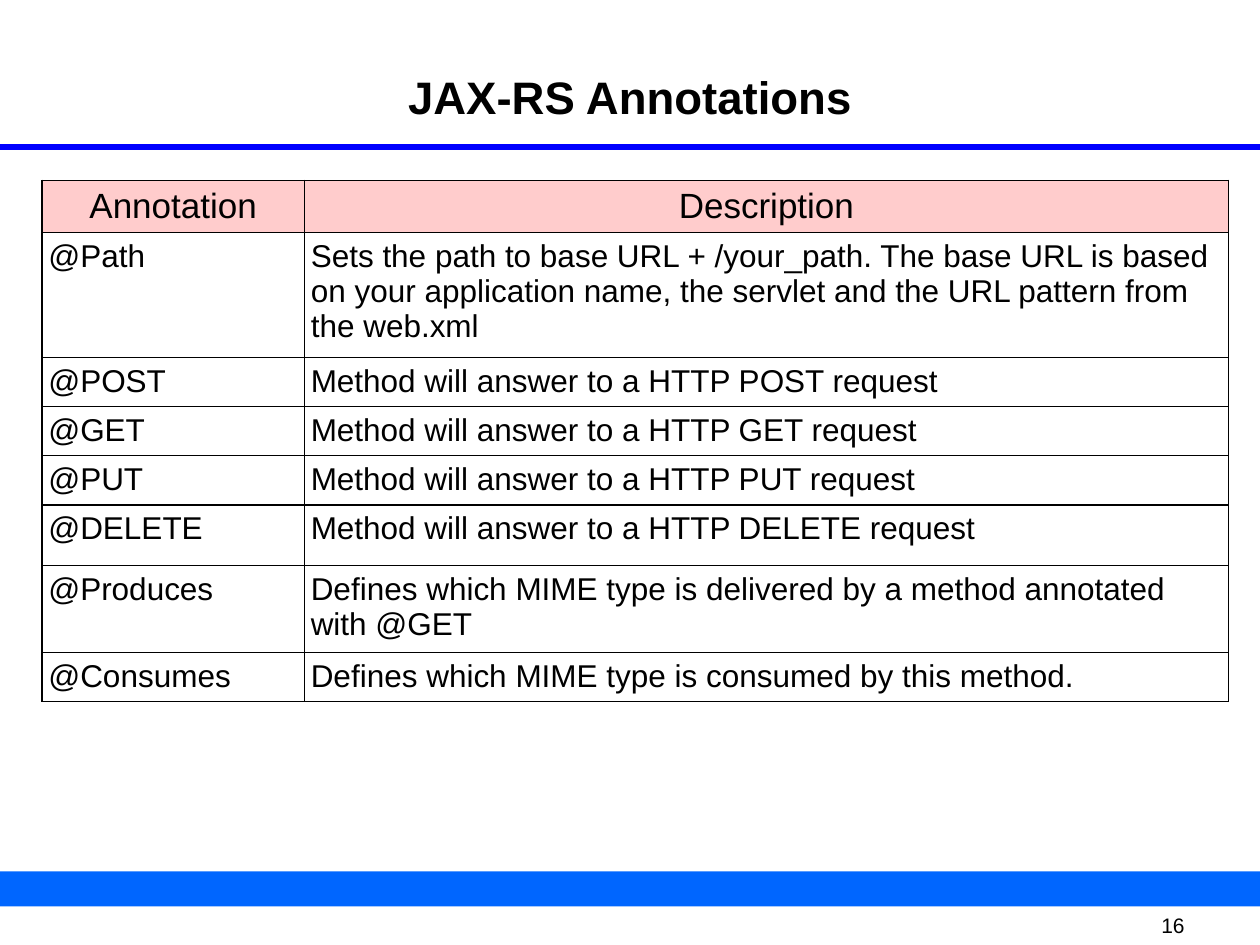
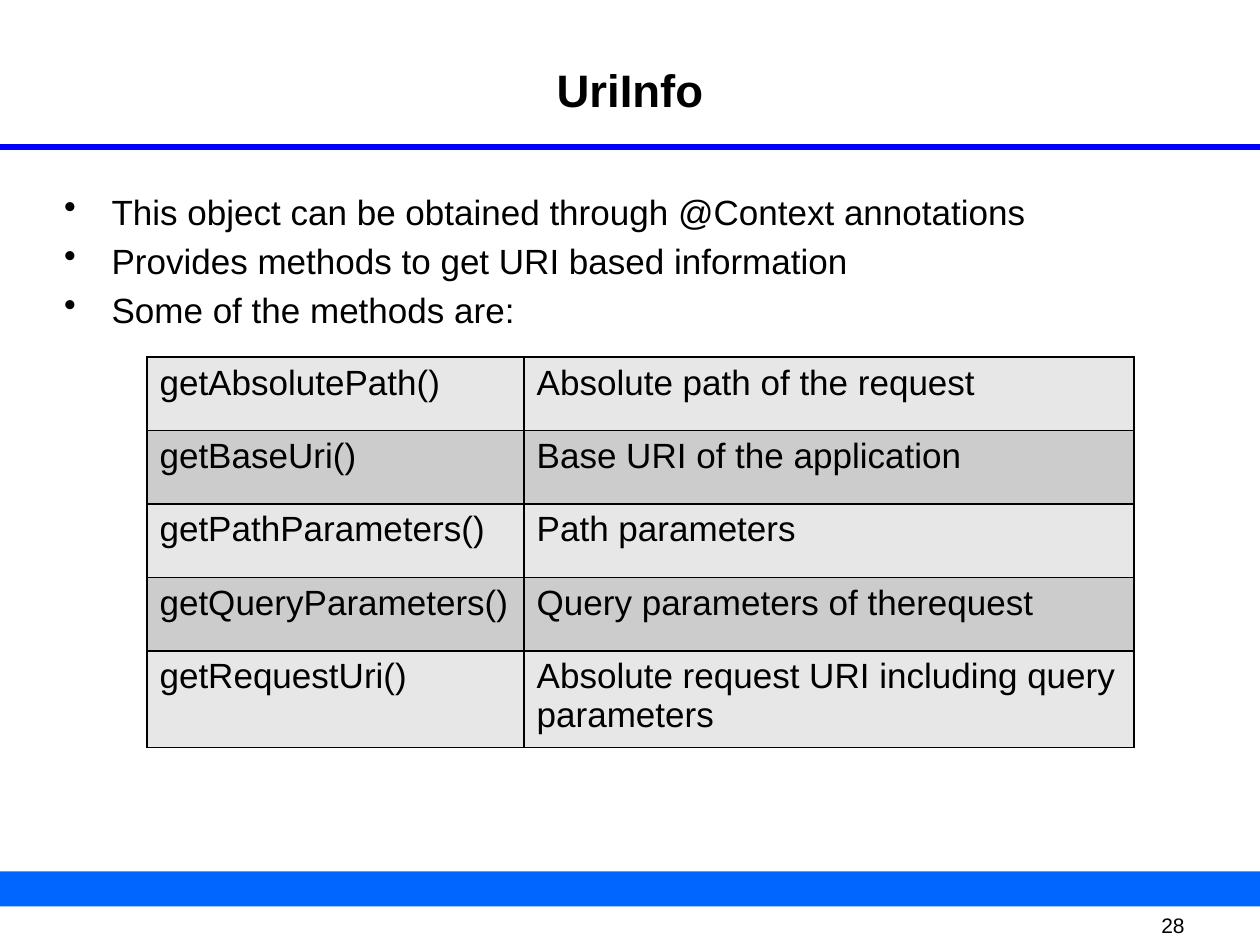
from dataclasses import dataclass

from lxml import etree
from pptx import Presentation
from pptx.dml.color import RGBColor
from pptx.enum.shapes import MSO_CONNECTOR, MSO_SHAPE
from pptx.enum.text import MSO_ANCHOR, PP_ALIGN
from pptx.oxml.ns import qn
from pptx.util import Pt

LEFT, CENTER = PP_ALIGN.LEFT, PP_ALIGN.CENTER
TOP, MIDDLE = MSO_ANCHOR.TOP, MSO_ANCHOR.MIDDLE
RECTANGLE, STRAIGHT = MSO_SHAPE.RECTANGLE, MSO_CONNECTOR.STRAIGHT
BLANK_LAYOUT = 6
SIDES = ("left", "top", "right", "bottom")


@dataclass(frozen=True)
class Theme:
    font: str = "Arial"
    ink: str = "000000"
    paper: str = "FFFFFF"
    rule: str = "0000FF"
    band: str = "0066FF"
    header: str = "FFCCCC"
    light_row: str = "E7E7E7"
    dark_row: str = "CCCCCC"
    title_size: float = 26
    body_size: float = 20
    cell_size: float = 18
    number_size: float = 12
    width: float = 720
    height: float = 540


def add_xml(parent, tag, **attributes):
    return etree.SubElement(parent, qn(tag), attributes)


def set_insets(target, insets):
    for side, inset in zip(SIDES, insets):
        setattr(target, f"margin_{side}", Pt(inset))


class Deck:
    def __init__(self, theme):
        self.theme = theme
        self.presentation = Presentation()
        self.presentation.slide_width = Pt(theme.width)
        self.presentation.slide_height = Pt(theme.height)
        self.slide = None

    def add_slide(self, title, title_top, number):
        """Start a slide with the shared band, rule, number and title."""
        theme = self.theme
        layout = self.presentation.slide_layouts[BLANK_LAYOUT]
        self.slide = self.presentation.slides.add_slide(layout)
        self.add_text((656.5, 522, 51, 13.7), [number], theme.number_size,
                      insets=(7.2, 0, 0, 0), anchor=MIDDLE)
        self.add_band(498, 20)
        self.add_rule(84)
        self.add_text((48, title_top, 624, 69), [title], theme.title_size,
                      bold=True, align=CENTER, spaced=True)

    def add_band(self, top, height):
        band = self.slide.shapes.add_shape(
            RECTANGLE, 0, Pt(top), Pt(self.theme.width), Pt(height))
        band.shadow.inherit = False
        band.fill.solid()
        band.fill.fore_color.rgb = RGBColor.from_string(self.theme.band)
        band.line.fill.background()

    def add_rule(self, top):
        rule = self.slide.shapes.add_connector(
            STRAIGHT, 0, Pt(top), Pt(self.theme.width), Pt(top))
        rule.line.color.rgb = RGBColor.from_string(self.theme.rule)
        rule.line.width = Pt(3)
        add_xml(rule._element.spPr, "a:effectLst")

    def fill_paragraph(self, paragraph, text, size, bold=False, align=LEFT,
                       spaced=False, bullet=False):
        run = paragraph.add_run()
        run.text = text
        paragraph.alignment = align
        font_format = {"name": self.theme.font, "size": Pt(size), "bold": bold}
        for name, value in font_format.items():
            setattr(run.font, name, value)
        run.font.color.rgb = RGBColor.from_string(self.theme.ink)
        properties = paragraph._p.get_or_add_pPr()
        if spaced:
            spacing = add_xml(properties, "a:spcBef")
            add_xml(spacing, "a:spcPct", val="20000")
        if bullet:
            properties.set("marL", str(Pt(27)))
            properties.set("indent", str(-Pt(27)))
            color = add_xml(properties, "a:buClr")
            add_xml(color, "a:srgbClr", val=self.theme.ink)
            add_xml(properties, "a:buChar", char="•")

    def add_text(self, box, lines, size, insets=(0.75,) * 4, anchor=TOP,
                 **style):
        shape = self.slide.shapes.add_textbox(*map(Pt, box))
        frame = shape.text_frame
        frame.word_wrap = True
        frame.vertical_anchor = anchor
        set_insets(frame, insets)
        for index, line in enumerate(lines):
            paragraph = frame.add_paragraph() if index else frame.paragraphs[0]
            self.fill_paragraph(paragraph, line, size, **style)

    def add_table(self, left, top, widths, heights, rows, row_format):
        """Add a table; row_format(index) gives fill, insets, anchor and text style."""
        table = self.slide.shapes.add_table(
            len(rows), len(widths), Pt(left), Pt(top),
            Pt(sum(widths)), Pt(sum(heights))).table
        table.first_row = table.horz_banding = False
        for column, width in zip(table.columns, widths):
            column.width = Pt(width)
        for index, (row, height, texts) in enumerate(
                zip(table.rows, heights, rows)):
            row.height = Pt(height)
            fill, insets, anchor, style = row_format(index)
            for cell, text in zip(row.cells, texts):
                self.add_borders(cell)
                cell.fill.solid()
                cell.fill.fore_color.rgb = RGBColor.from_string(fill)
                cell.vertical_anchor = anchor
                set_insets(cell, insets)
                self.fill_paragraph(cell.text_frame.paragraphs[0], text,
                                    spaced=True, **style)

    def add_borders(self, cell):
        properties = cell._tc.get_or_add_tcPr()
        for tag in ("a:lnL", "a:lnR", "a:lnT", "a:lnB"):
            line = add_xml(properties, tag, w=str(Pt(1)))
            fill = add_xml(line, "a:solidFill")
            add_xml(fill, "a:srgbClr", val=self.theme.ink)


ANNOTATIONS = [
    ("Annotation", "Description"),
    ("@Path", "Sets the path to base URL + /your_path. The base URL is based "
              "on your application name, the servlet and the URL pattern from "
              "the web.xml"),
    *((f"@{verb}", f"Method will answer to a HTTP {verb} request")
      for verb in ("POST", "GET", "PUT", "DELETE")),
    ("@Produces", "Defines which MIME type is delivered by a method annotated "
                  "with @GET"),
    ("@Consumes", "Defines which MIME type is consumed by this method."),
]

URI_INFO_POINTS = [
    "This object can be obtained through @Context annotations",
    "Provides methods to get URI based information",
    "Some of the methods are:",
]

URI_INFO_METHODS = [
    ("getAbsolutePath()", "Absolute path of the request"),
    ("getBaseUri()", "Base URI of the application"),
    ("getPathParameters()", "Path parameters"),
    ("getQueryParameters()", "Query parameters of therequest"),
    ("getRequestUri()", "Absolute request URI including query parameters"),
]


def build_annotations(deck):
    theme = deck.theme

    def row_format(index):
        if index == 0:
            return (theme.header, (3.6, 2.9, 3.6, 2.9), MIDDLE,
                    {"size": theme.body_size, "align": CENTER})
        return (theme.paper, (3.6, 3.6, 3.6, 2.9), TOP,
                {"size": theme.cell_size})

    deck.add_slide("JAX-RS Annotations", 39, "16")
    single = 26.5
    heights = [28, 67, single, single, single, 34.5, 46.5, single]
    deck.add_table(24, 103, [150, 528], heights, ANNOTATIONS, row_format)


def build_uri_info(deck):
    theme = deck.theme

    def row_format(index):
        fill = theme.dark_row if index % 2 else theme.light_row
        return fill, (7.2, 3.6, 7.2, 3.6), TOP, {"size": theme.body_size}

    deck.add_slide("UriInfo", 34.5, "28")
    deck.add_text((36, 108, 648, 171), URI_INFO_POINTS, theme.body_size,
                  spaced=True, bullet=True)
    deck.add_table(84, 204, [215.5, 348.5], [42] * 4 + [55],
                   URI_INFO_METHODS, row_format)


def main():
    deck = Deck(Theme())
    build_annotations(deck)
    build_uri_info(deck)
    deck.presentation.save("out.pptx")


if __name__ == "__main__":
    main()
